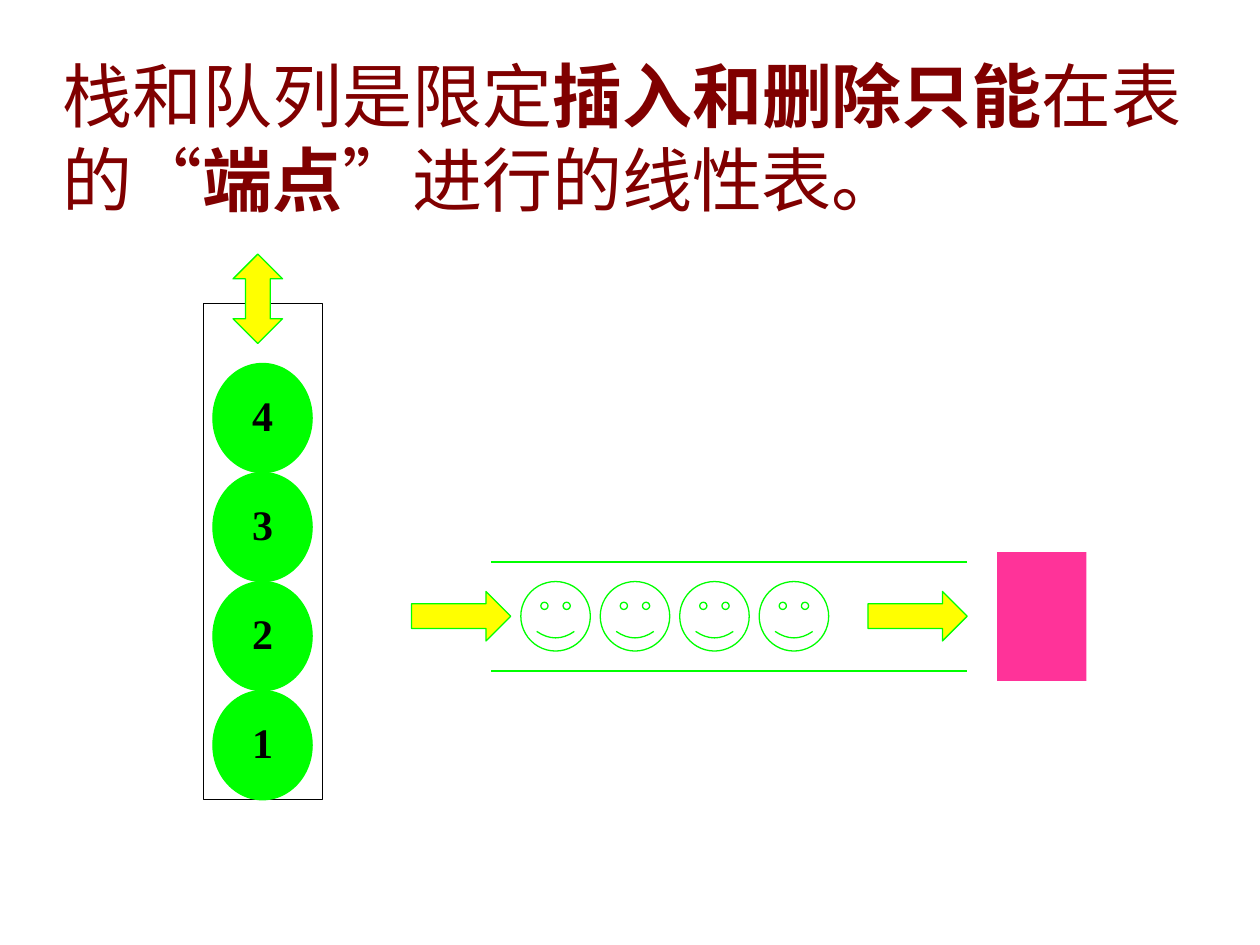
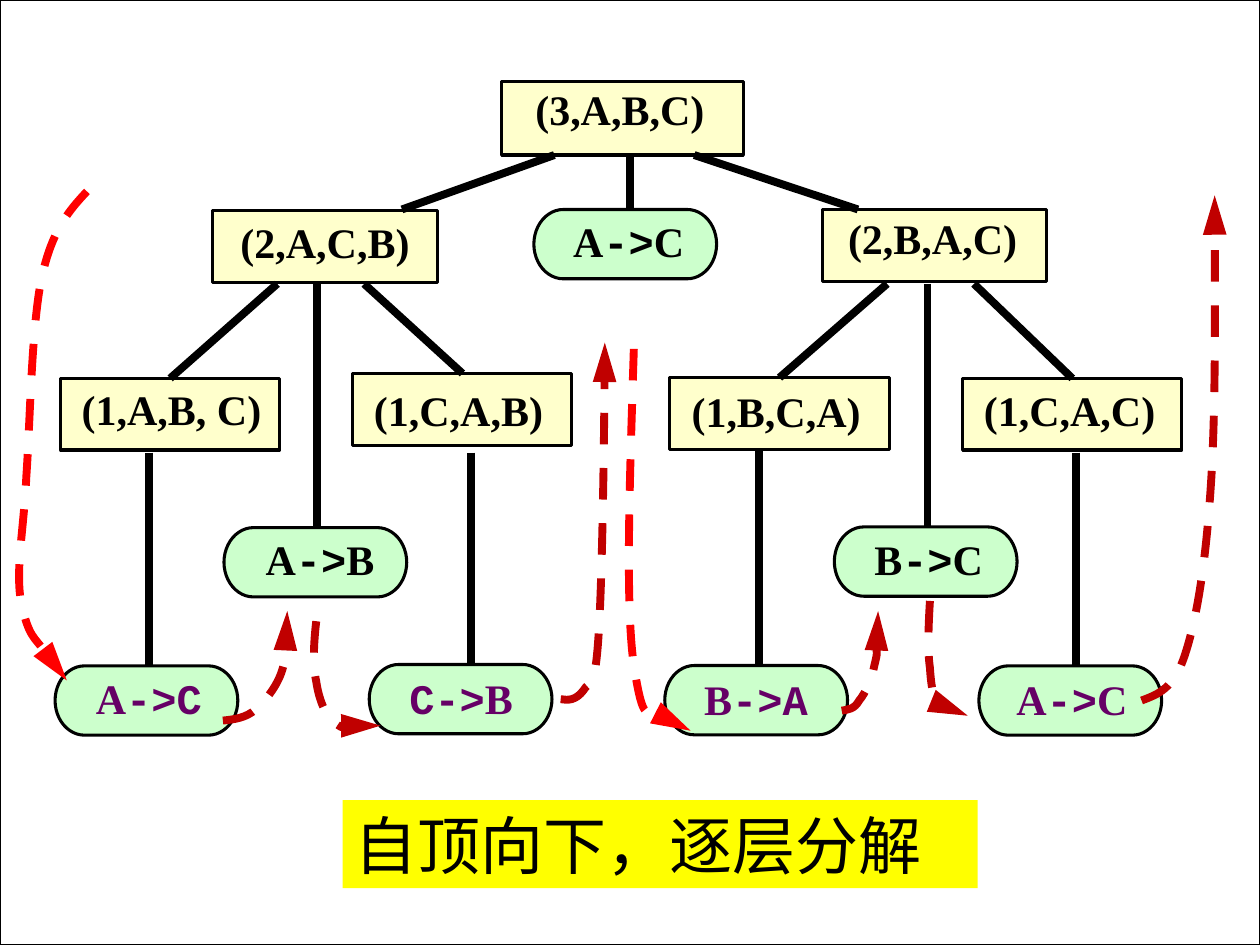
from lxml.etree import SubElement
from pptx import Presentation
from pptx.dml.color import RGBColor
from pptx.enum.dml import MSO_LINE
from pptx.enum.shapes import MSO_CONNECTOR, MSO_SHAPE
from pptx.enum.text import MSO_ANCHOR, MSO_AUTO_SIZE, PP_ALIGN
from pptx.oxml.ns import qn
from pptx.util import Pt

BLACK = RGBColor(0, 0, 0)
WHITE = RGBColor(255, 255, 255)
GREEN = RGBColor(0, 255, 0)
YELLOW = RGBColor(255, 255, 0)
PINK = RGBColor(255, 51, 153)
MAROON = RGBColor(128, 0, 0)
CREAM = RGBColor(255, 255, 204)
MINT = RGBColor(204, 255, 204)
PURPLE = RGBColor(102, 0, 102)
RED = RGBColor(255, 0, 0)
DARK = RGBColor(192, 0, 0)

SERIF = "Times New Roman"
MONO = "Courier New"
HAN = "Noto Sans CJK SC"

# Calls: label, box left/top, box width/height, text left/top, link start, link end.
# Without a link end the link is joined to the top of the box.
CALLS = [
    ("(3,A,B,C)", (286.6, 46.8), (138.2, 41.8), (298.8, 43.9), None, None),
    ("(2,A,C,B)", (121.7, 120.5), (128.2, 41), (130.3, 119.9), (316.8, 88.6), (229.7, 119.7)),
    ("(2,B,A,C)", (470.2, 119.9), (127.9, 41), (477.5, 118.1), (396.7, 88.6), (490.3, 119.7)),
    ("(1,A,B, C)", (34.6, 216.2), (125.3, 41), (39.6, 215.6), (158.4, 162.2), None),
    ("(1,C,A,B)", (201.6, 213.4), (125.3, 41), (206.6, 216), (208.1, 162.2), None),
    ("(1,B,C,A)", (382.8, 215.8), (125.3, 41), (388.1, 216.7), (506.9, 162.2), None),
    ("(1,C,A,C)", (550.1, 216.2), (125.3, 41), (555.1, 216.2), (556.6, 162.2), None),
]

# Moves: text parts with fonts, colour, box left/top, text left/top, link left, top, bottom.
MOVES = [
    ([("A", SERIF), ("->", MONO), ("C", SERIF)], BLACK,
     (305.1, 119.7), (320.4, 119.5), (360, 89.3, 119.5)),
    ([("A", SERIF), ("->", MONO), ("B", SERIF)], BLACK,
     (128, 301.5), (144.7, 301.3), (181.4, 162, 301)),
    ([("B", SERIF), ("->", MONO), ("C", SERIF)], BLACK,
     (476.8, 301.1), (492.5, 301.3), (530, 162, 301)),
    ([("A", SERIF), ("->C", MONO)], PURPLE,
     (31.5, 380.5), (47.7, 380.9), (85, 258.6, 380.6)),
    ([("C->", MONO), ("B", SERIF)], PURPLE,
     (211, 379.7), (226.8, 380.9), (269.3, 258.6, 380.6)),
    ([("B", SERIF), ("->A", MONO)], PURPLE,
     (379.9, 380.3), (395.3, 381.6), (433.6, 257, 380.6)),
    ([("A", SERIF), ("->", MONO), ("C", SERIF)], PURPLE,
     (559.4, 380.5), (573.7, 381.6), (615.1, 258.6, 380.6)),
]

# Traces: a start point, then three points for each Bezier piece.
TRACES = [
    (DARK, [(127.4, 411.8), (133.9, 411.1), (140.4, 410.4), (146.2, 405.4),
            (151.2, 401), (158.4, 392.4), (161.3, 383),
            (164.2, 373.7), (163.4, 355), (164.2, 349.2)]),
    (RED, [(49.7, 109.4), (39.6, 120.2), (29.5, 131.8), (23.8, 159.1),
           (18, 186.5), (17.3, 241.2), (15.1, 272.2),
           (13.7, 303.1), (8.6, 325.4), (12.2, 344.9),
           (16.6, 364.3), (33.1, 381.6), (38.2, 388.8)]),
    (DARK, [(180.7, 355), (179.3, 367.2), (178.6, 380.2), (180.7, 389.5),
            (182.2, 399.6), (185.8, 409), (191.5, 413.3),
            (198, 417.6), (213.1, 414.7), (217.4, 414.7)]),
    (DARK, [(320.4, 399.6), (324.7, 400.3), (329, 400.3), (333.4, 394.6),
            (337, 388.1), (339.8, 396.7), (342, 363.6),
            (344.2, 330.5), (345.6, 223.9), (345.6, 195.8)]),
    (RED, [(362.2, 199.4), (360, 271.4), (357.1, 344.2), (362.2, 380.2),
           (367.9, 416.9), (389.5, 411.1), (394.6, 417.6)]),
    (DARK, [(481, 406.1), (484.6, 405.4), (488.2, 405.4), (491, 400.3),
            (494.6, 396), (498.2, 388.1), (499.7, 380.2),
            (501.8, 371.5), (501.1, 354.2), (501.8, 349.2)]),
    (DARK, [(531.4, 343.4), (530.6, 357.1), (529.9, 371.5), (531.4, 381.6),
            (532.1, 392.4), (534.2, 402.5), (537.8, 407.5),
            (541.4, 411.8), (550.1, 409), (553, 409)]),
    (DARK, [(652.3, 400.3), (661.7, 396.7), (671, 393.8), (677.5, 373),
            (684, 352.8), (689, 321.8), (691.9, 277.9),
            (694.8, 234.7), (694.1, 139), (694.1, 111.6)]),
]


def paint(shape, fill, line, width):
    shape.shadow.inherit = False
    if fill is None:
        shape.fill.background()
    else:
        shape.fill.solid()
        shape.fill.fore_color.rgb = fill
    if line is None:
        shape.line.fill.background()
    else:
        shape.line.color.rgb = line
        shape.line.width = Pt(width)


def add_box(slide, kind, spot, size, fill=None, line=None, width=0.75, bends=()):
    shape = slide.shapes.add_shape(kind, *map(Pt, spot + size))
    paint(shape, fill, line, width)
    for i, bend in enumerate(bends):
        shape.adjustments[i] = bend
    return shape


def write(frame, parts, size, color):
    """Add (text, font, bold) parts as runs of the first paragraph."""
    para = frame.paragraphs[0]
    for text, face, bold in parts:
        run = para.add_run()
        run.text = text
        font = run.font
        font.name, font.size, font.bold = face, Pt(size), bold
        font.color.rgb = color
        SubElement(font._element, qn("a:ea")).set("typeface", HAN)
    return para


def add_text(slide, spot, size, parts, points, color):
    box = slide.shapes.add_textbox(*map(Pt, spot + size))
    box.text_frame.word_wrap = True
    box.text_frame.auto_size = MSO_AUTO_SIZE.SHAPE_TO_FIT_TEXT
    write(box.text_frame, parts, points, color)
    return box


def add_line(slide, start, end, color, width):
    line = slide.shapes.add_connector(MSO_CONNECTOR.STRAIGHT, *map(Pt, start + end))
    line.line.color.rgb = color
    line.line.width = Pt(width)
    SubElement(line._element.spPr, qn("a:effectLst"))
    return line


def add_link(slide, node, start, end):
    line = add_line(slide, start, end or start, BLACK, 4.5)
    if end is None:
        line.end_connect(node, 0)


def bend(curve):
    """Turn each three straight pieces of the outline into one Bezier piece."""
    path = next(curve._element.iter(qn("a:path")))
    steps = path.findall(qn("a:lnTo"))
    for i in range(0, len(steps), 3):
        piece = SubElement(path, qn("a:cubicBezTo"))
        for step in steps[i:i + 3]:
            piece.append(step[0])
            path.remove(step)


def add_trace(slide, color, points):
    """Draw a dashed curve with a long arrowhead at its end."""
    first, *rest = [tuple(map(Pt, point)) for point in points]
    outline = slide.shapes.build_freeform(*first, scale=1.0)
    outline.add_line_segments(rest, close=False)
    curve = outline.convert_to_shape()
    bend(curve)
    paint(curve, None, color, 4.5)
    curve.line.dash_style = MSO_LINE.DASH
    tip = SubElement(curve.line._get_or_add_ln(), qn("a:tailEnd"))
    for key, value in (("type", "triangle"), ("w", "med"), ("len", "lg")):
        tip.set(key, value)


def draw_stack(slide):
    add_box(slide, MSO_SHAPE.RECTANGLE, (116.2, 173.5), (68.2, 283.5), line=BLACK)
    for i in range(4):
        ball = add_box(slide, MSO_SHAPE.OVAL, (121.7, 394.6 - 62.3 * i),
                       (56.7, 62.4), GREEN, GREEN)
        frame = ball.text_frame
        frame.word_wrap = False
        frame.vertical_anchor = MSO_ANCHOR.MIDDLE
        para = write(frame, [(str(i + 1), SERIF, True)], 24, BLACK)
        para.alignment = PP_ALIGN.CENTER
        para.line_spacing = 0.9


def draw_queue(slide):
    for y in (321.2, 383.5):
        add_line(slide, (280.6, y), (552.8, y), GREEN, 0.75)
    for i in range(4):
        add_box(slide, MSO_SHAPE.SMILEY_FACE, (297.6 + 45.4 * i, 332.3), (39.7, 39.7),
                line=GREEN, bends=(0.093,))
    add_box(slide, MSO_SHAPE.RECTANGLE, (569.8, 315.5), (51, 73.6), PINK)
    for x in (496, 235.2):
        add_box(slide, MSO_SHAPE.RIGHT_ARROW, (x, 338), (56.7, 28.3),
                YELLOW, GREEN, bends=(0.5, 0.5))


def draw_tree(slide):
    for label, spot, size, place, start, end in CALLS:
        node = add_box(slide, MSO_SHAPE.RECTANGLE, spot, size, CREAM, BLACK, 1.75)
        add_text(slide, place, (145.4, 36), [(label, SERIF, True)], 24, BLACK)
        if start:
            add_link(slide, node, start, end)
    for parts, color, spot, place, (x, top, bottom) in MOVES:
        node = add_box(slide, MSO_SHAPE.FLOWCHART_TERMINATOR, spot, (104.4, 39.6),
                       MINT, BLACK, 1.75)
        runs = [(text, face, True) for text, face in parts]
        add_text(slide, place, (85, 36), runs, 24, color)
        add_link(slide, node, (x, top), (x, bottom))


def main():
    deck = Presentation()
    deck.slide_width, deck.slide_height = Pt(720), Pt(540)
    blank = deck.slide_layouts[6]

    slide = deck.slides.add_slide(blank)
    draw_stack(slide)
    draw_queue(slide)
    add_box(slide, MSO_SHAPE.UP_DOWN_ARROW, (133.2, 145.2), (28.3, 51.1),
            YELLOW, GREEN, bends=(0.358, 0.5))
    add_text(slide, (28.8, 26.3), (691.2, 103.7),
             [("栈和队列是限定", SERIF, False), ("插入和删除只能", SERIF, True),
              ("在表的“", SERIF, False), ("端点", SERIF, True),
              ("”进行的线性表。", SERIF, False)], 40, MAROON)

    slide = deck.slides.add_slide(blank)
    add_box(slide, MSO_SHAPE.RECTANGLE, (0, 0), (720, 540), WHITE, BLACK)
    draw_tree(slide)
    for color, points in TRACES:
        add_trace(slide, color, points)
    note = add_text(slide, (195.8, 457.2), (362.9, 50.4),
                    [("自顶向下，逐层分解", HAN, False)], 36, BLACK)
    paint(note, YELLOW, None, 0)

    deck.save("out.pptx")


if __name__ == "__main__":
    main()
